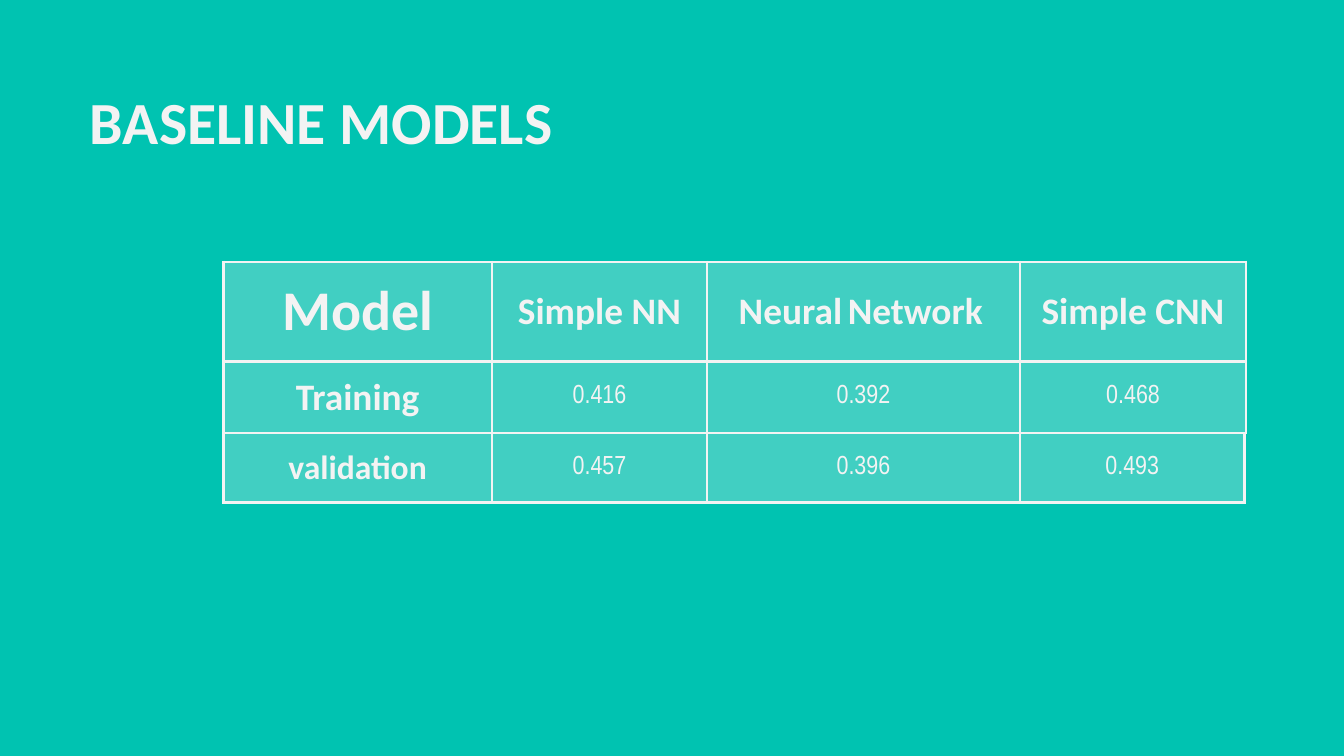
from lxml import etree
from pptx import Presentation
from pptx.dml.color import RGBColor
from pptx.enum.text import MSO_ANCHOR, MSO_AUTO_SIZE, PP_ALIGN
from pptx.oxml.ns import qn
from pptx.util import Cm, Pt

COLORS = {"background": "00C3B1", "light": "F3F3F3", "space": "000000"}
HEADING = "Calibri"
NUMBER = ("Arial Narrow", 14, False)
SPACE = ("Arial", 10.5, True, True, "space")


class SlideBuilder:
    def __init__(self, slide):
        self.slide = slide
        self.inset = Cm(0.25)
        self.border = Pt(1.5)
        self.opacity = 27

    def background(self):
        fill = self.slide.background.fill
        fill.solid()
        fill.fore_color.rgb = RGBColor.from_string(COLORS["background"])

    def style(self, run, name, size, bold=True, italic=False, color="light"):
        font = run.font
        font.name, font.size = name, Pt(size)
        font.bold, font.italic = bold, italic
        font.color.rgb = RGBColor.from_string(COLORS[color])

    def title(self, text, left, top, width, height):
        shape = self.slide.shapes.add_textbox(Cm(left), Cm(top), Cm(width), Cm(height))
        frame = shape.text_frame
        frame.text = text
        frame.word_wrap = True
        frame.auto_size = MSO_AUTO_SIZE.SHAPE_TO_FIT_TEXT
        self.style(frame.paragraphs[0].runs[0], HEADING, 32)

    def cell(self, cell, runs):
        cell.vertical_anchor = MSO_ANCHOR.MIDDLE
        cell.margin_left = cell.margin_right = self.inset
        cell.margin_top = cell.margin_bottom = self.inset
        paragraph = cell.text_frame.paragraphs[0]
        paragraph.alignment = PP_ALIGN.CENTER
        for text, look in runs:
            run = paragraph.add_run()
            run.text = text
            self.style(run, *look)
        cell.fill.solid()
        cell.fill.fore_color.rgb = RGBColor.from_string(COLORS["light"])
        properties = cell._tc.tcPr
        color = properties.find(qn("a:solidFill")).find(qn("a:srgbClr"))
        etree.SubElement(color, qn("a:alpha"), val=str(self.opacity * 1000))
        for index, side in enumerate(("lnL", "lnR", "lnT", "lnB")):
            line = etree.Element(qn(f"a:{side}"), w=str(self.border))
            fill = etree.SubElement(line, qn("a:solidFill"))
            etree.SubElement(fill, qn("a:srgbClr"), val=COLORS["light"])
            properties.insert(index, line)

    def table(self, rows, left, top, widths, heights):
        shape = self.slide.shapes.add_table(
            len(rows), len(widths), Cm(left), Cm(top), Cm(sum(widths)), Cm(sum(heights))
        )
        table = shape.table
        table.first_row = table.horz_banding = False
        for column, width in zip(table.columns, widths):
            column.width = Cm(width)
        for row, height, values in zip(table.rows, heights, rows):
            row.height = Cm(height)
            for cell, runs in zip(row.cells, values):
                self.cell(cell, runs)


def score_row(label, size, scores):
    return [[(label, (HEADING, size))]] + [[(score, NUMBER)] for score in scores]


def main():
    presentation = Presentation()
    presentation.slide_width, presentation.slide_height = Cm(25.4), Cm(14.29)
    builder = SlideBuilder(presentation.slides.add_slide(presentation.slide_layouts[6]))
    builder.background()
    builder.title("BASELINE MODELS", 1.45, 1.47, 9.53, 1.63)

    header = (HEADING, 20)
    header_row = [
        [("Model", (HEADING, 30))],
        [("Simple NN", header)],
        [("Neural", header), (" ", SPACE), ("Network", header), (" ", SPACE)],
        [("Simple CNN", header)],
    ]
    training_row = score_row("Training", 20, ["0.416", "0.392", "0.468"])
    validation_row = score_row("validation", 18, ["0.457", "0.396", "0.493"])
    left, widths = 4.22, [5.08, 4.06, 5.92]
    builder.table([header_row, training_row], left, 4.95, widths + [4.27], [1.88, 1.35])
    builder.table([validation_row], left, 8.18, widths + [4.24], [1.32])
    presentation.save("out.pptx")


if __name__ == "__main__":
    main()
